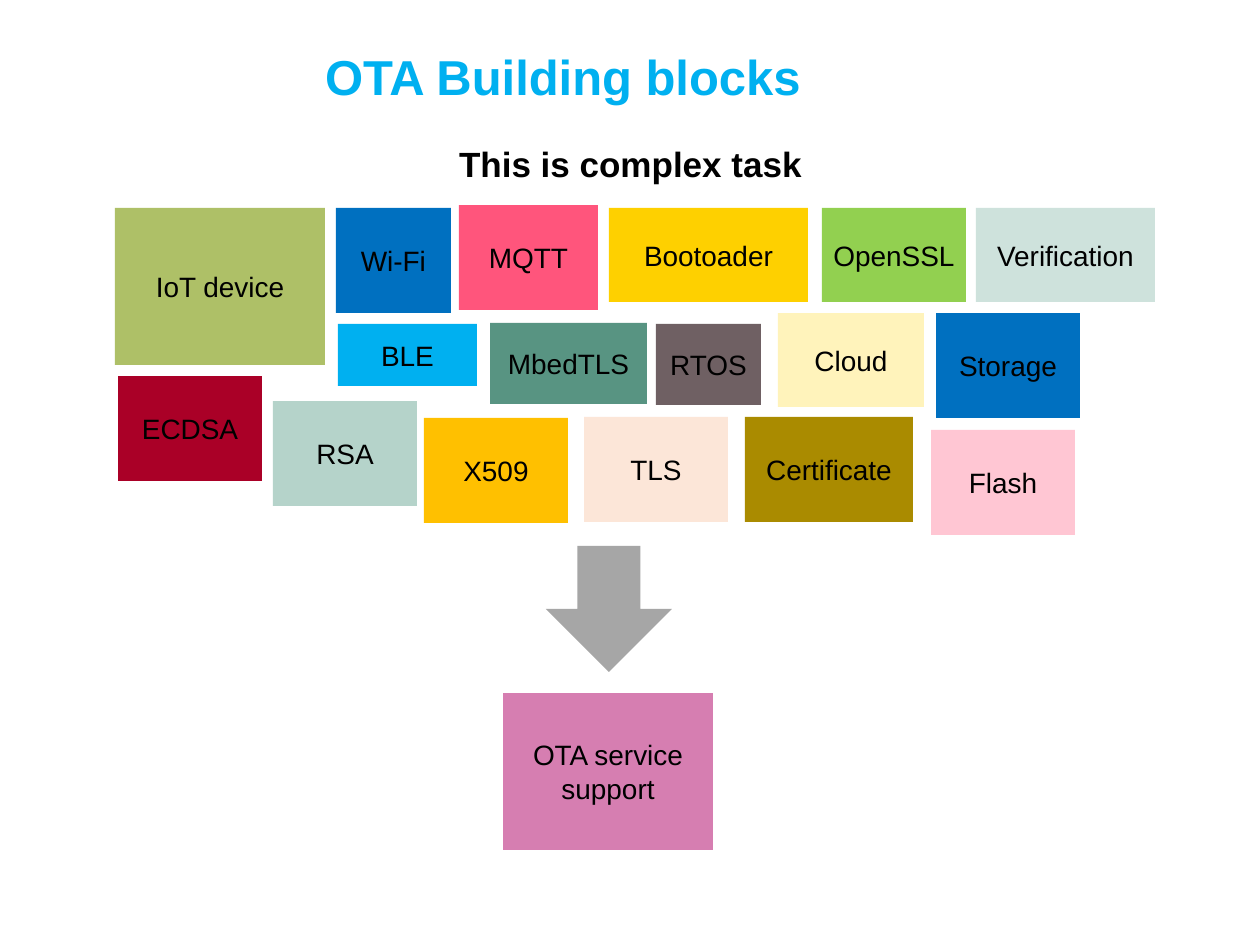
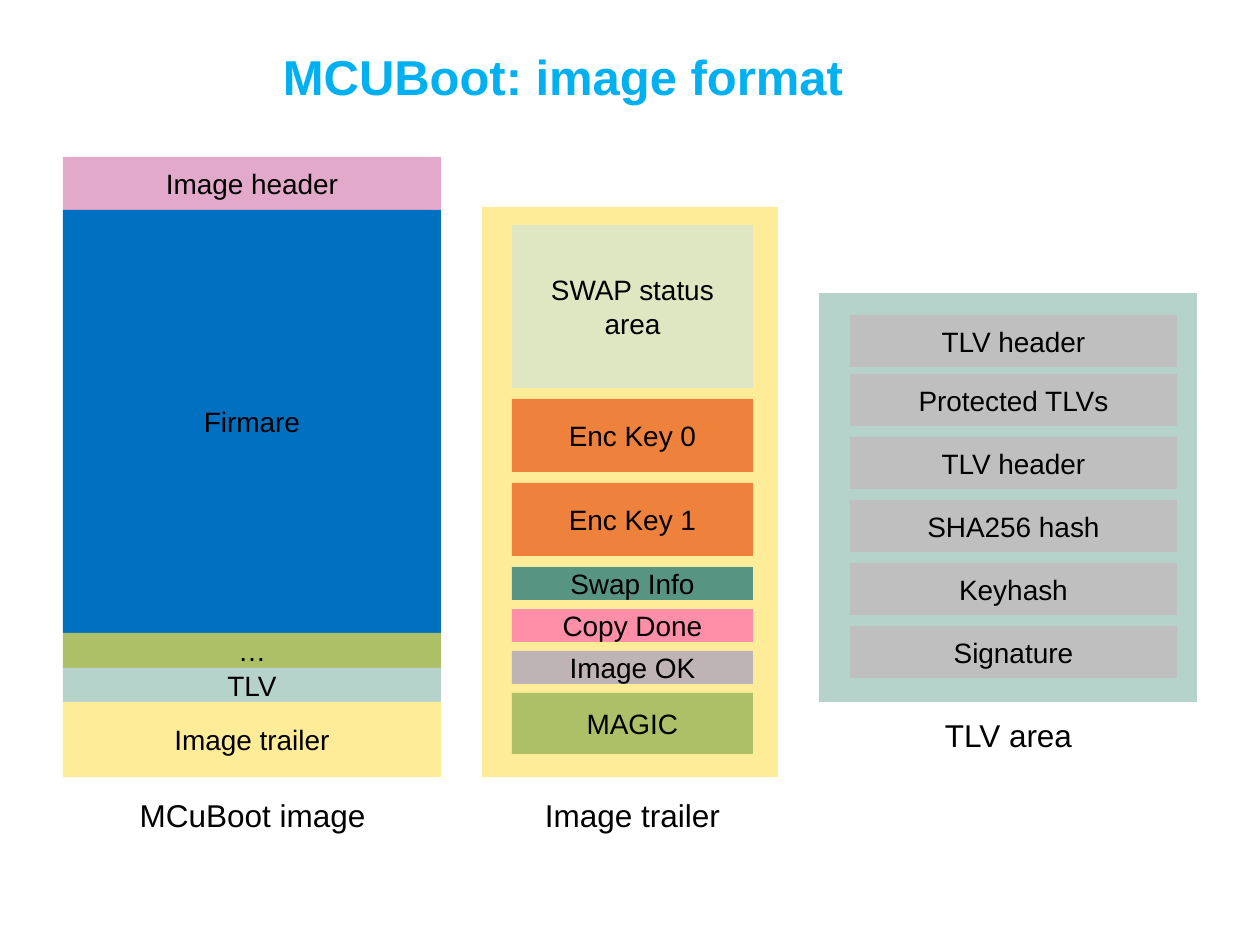
from pptx import Presentation
from pptx.dml.color import RGBColor
from pptx.enum.shapes import MSO_SHAPE
from pptx.enum.text import MSO_ANCHOR, PP_ALIGN
from pptx.util import Emu, Pt

RECTANGLE = MSO_SHAPE.RECTANGLE
DOWN_ARROW = MSO_SHAPE.DOWN_ARROW
MIDDLE = MSO_ANCHOR.MIDDLE
BOTTOM = MSO_ANCHOR.BOTTOM
CENTER = PP_ALIGN.CENTER

PX_PER_INCH = 126
FONT = "Arial"
BLOCK_INSET = 10

# Shared palette
BLACK = "000000"
SKY = "00B0F0"
BLUE = "0070C0"
OLIVE = "AEC067"
SAGE = "B5D3CA"
TEAL = "589482"
CREAM = "FFEC98"
ORANGE = "EE813C"
SILVER = "BFBFBF"

# Technologies behind an update: label, left, top, width, height, fill
TECHNOLOGIES = [
    ("IoT device", 115, 208, 210, 157, OLIVE),
    ("Wi-Fi", 336, 208, 115, 105, BLUE),
    ("BLE", 338, 324, 139, 62, SKY),
    ("MQTT", 459, 205, 139, 105, "FF557C"),
    ("Bootoader", 609, 208, 199, 94, "FED000"),
    ("MbedTLS", 490, 323, 157, 81, TEAL),
    ("RTOS", 656, 324, 105, 81, "6F6063"),
    ("Cloud", 778, 313, 146, 94, "FFF3BB"),
    ("ECDSA", 118, 376, 144, 105, "AA0027"),
    ("RSA", 273, 401, 144, 105, SAGE),
    ("X509", 424, 418, 144, 105, "FFC000"),
    ("TLS", 584, 417, 144, 105, "FCE6D8"),
    ("Certificate", 745, 417, 168, 105, "AA8B00"),
    ("OpenSSL", 822, 208, 144, 94, "92D050"),
    ("Storage", 936, 313, 144, 105, BLUE),
    ("Verification", 976, 208, 179, 94, "CEE2DC"),
    ("Flash", 931, 430, 144, 105, "FFC6D3"),
]

# Parts of the boot image, stacked without gaps: label, height, fill
IMAGE_PARTS = [
    ("Image header", 53, "E3A9CB"),
    ("Firmare", 423, BLUE),
    ("…", 35, OLIVE),
    ("TLV", 34, SAGE),
    ("Image trailer", 75, CREAM),
]

# Fields of the image trailer: label, top, height, fill
TRAILER_FIELDS = [
    ("SWAP status area", 225, 163, "DFE6C2"),
    ("Enc Key 0", 399, 73, ORANGE),
    ("Enc Key 1", 483, 73, ORANGE),
    ("Swap Info", 567, 33, TEAL),
    ("Copy Done", 609, 33, "FF8EA8"),
    ("Image OK", 651, 33, "BEB4B6"),
    ("MAGIC", 693, 61, OLIVE),
]

TLV_FIELDS = ["TLV header", "Protected TLVs", "TLV header",
              "SHA256 hash", "Keyhash", "Signature"]
TLV_TOPS = [315, *range(374, 627, 63)]


def px(length):
    return Emu(round(length * 914400 / PX_PER_INCH))


def color(hex_string):
    return RGBColor.from_string(hex_string)


def write(shape, text, size, text_color=BLACK, bold=False, anchor=MIDDLE, inset=0):
    """Fill a shape with one centred paragraph."""
    frame = shape.text_frame
    frame.word_wrap = True
    frame.vertical_anchor = anchor
    frame.margin_left = frame.margin_right = px(inset)
    frame.margin_top = frame.margin_bottom = px(inset)
    paragraph = frame.paragraphs[0]
    paragraph.text = text
    paragraph.alignment = CENTER
    font = paragraph.font
    font.name = FONT
    font.size = Pt(size)
    font.bold = bold
    font.color.rgb = color(text_color)
    return paragraph


def add_text(slide, text, left, top, width, height, size, **style):
    box = slide.shapes.add_textbox(px(left), px(top), px(width), px(height))
    return write(box, text, size, **style)


def add_block(slide, left, top, width, height, fill, label=None, kind=RECTANGLE):
    shape = slide.shapes.add_shape(kind, px(left), px(top), px(width), px(height))
    shape.shadow.inherit = False
    shape.fill.solid()
    shape.fill.fore_color.rgb = color(fill)
    shape.line.fill.background()
    if label:
        write(shape, label, 16, inset=BLOCK_INSET)


def add_caption(slide, text, left, top):
    add_text(slide, text, left, top, 281, 50, 18)


def add_titled_slide(presentation, title):
    slide = presentation.slides.add_slide(presentation.slide_layouts[6])
    add_text(slide, title, 53, 32, 1020, 73, 28,
             text_color=SKY, bold=True, anchor=BOTTOM)
    return slide


def build_building_blocks(presentation):
    slide = add_titled_slide(presentation, "OTA Building blocks")
    subtitle = add_text(slide, "This is complex task", 48, 125, 1165, 55, 20, bold=True)
    subtitle.line_spacing = 1.5
    subtitle.space_after = Pt(3)

    for label, left, top, width, height, fill in TECHNOLOGIES:
        add_block(slide, left, top, width, height, fill, label)

    # Everything leads to one service
    add_block(slide, 546, 546, 126, 126, "A6A6A6", kind=DOWN_ARROW)
    add_block(slide, 503, 693, 210, 157, "D67EB1", "OTA service support")


def build_image_format(presentation):
    slide = add_titled_slide(presentation, "MCUBoot: image format")

    # Whole image
    top = 157
    for label, height, fill in IMAGE_PARTS:
        add_block(slide, 63, top, 378, height, fill, label)
        top += height
    add_caption(slide, "MCuBoot image", 112, 790)

    # Trailer in detail
    add_block(slide, 482, 207, 296, 570, CREAM)
    for label, top, height, fill in TRAILER_FIELDS:
        add_block(slide, 512, top, 241, height, fill, label)
    add_caption(slide, "Image trailer", 492, 790)

    # TLV area in detail
    add_block(slide, 819, 293, 378, 409, SAGE)
    for label, top in zip(TLV_FIELDS, TLV_TOPS):
        add_block(slide, 850, top, 327, 52, SILVER, label)
    add_caption(slide, "TLV area", 868, 710)


def main():
    presentation = Presentation()
    presentation.slide_width = px(1260)
    presentation.slide_height = px(945)
    build_building_blocks(presentation)
    build_image_format(presentation)
    presentation.save("out.pptx")


if __name__ == "__main__":
    main()
